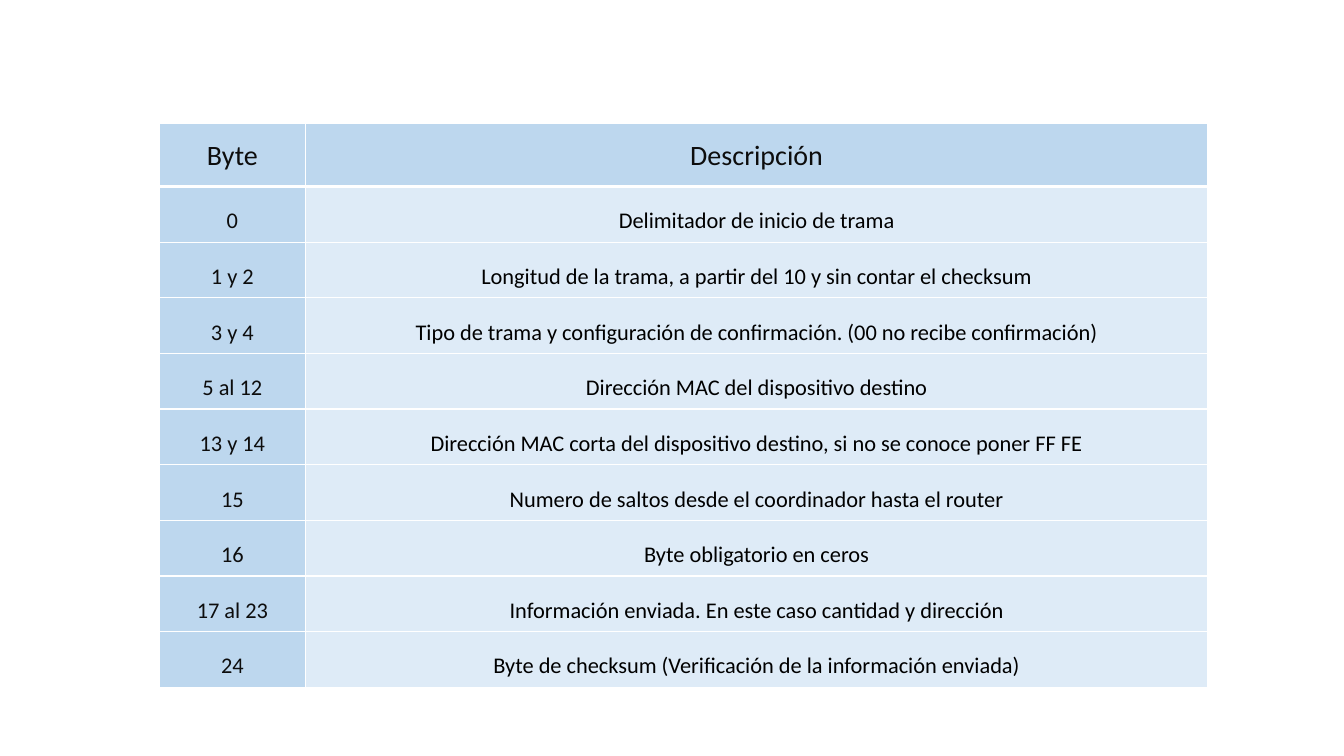
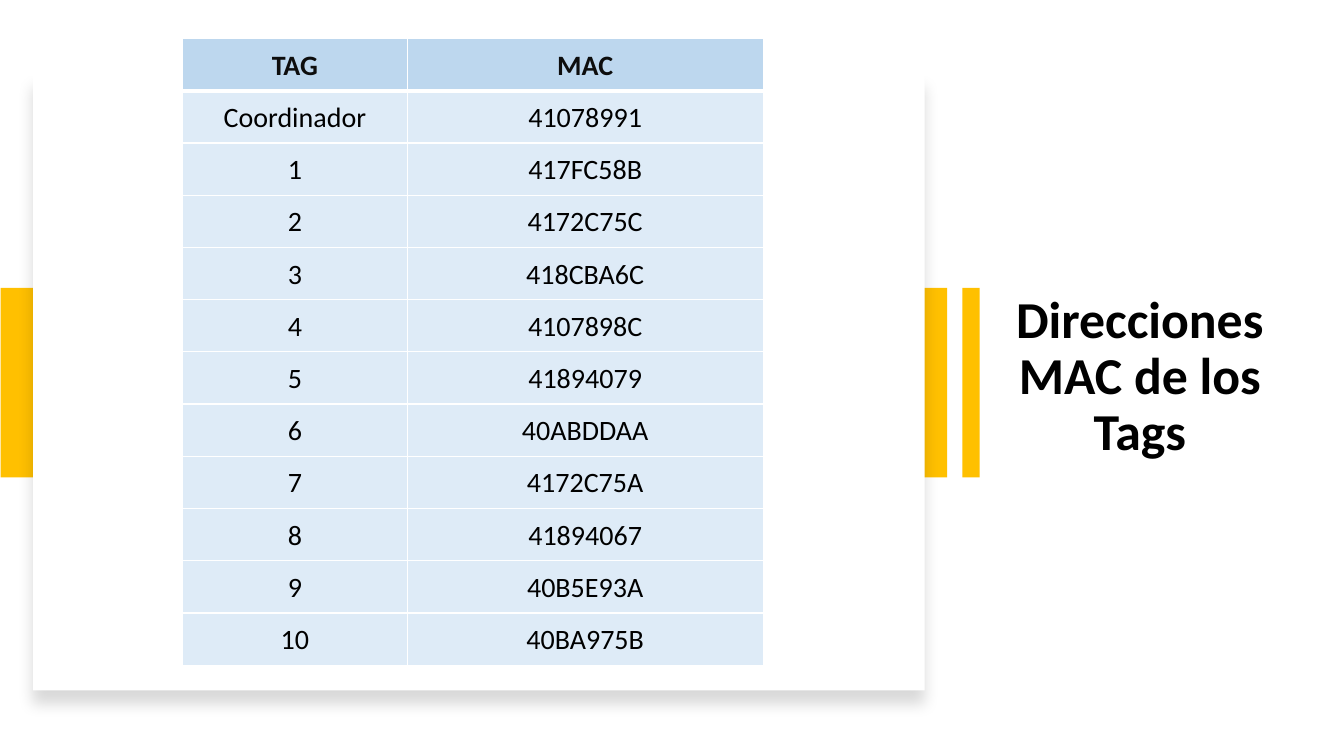
"""Build two slides: the frame byte table and the MAC addresses of the tags."""
from dataclasses import dataclass

from lxml import etree
from pptx import Presentation
from pptx.dml.color import RGBColor
from pptx.enum.shapes import MSO_SHAPE
from pptx.enum.text import MSO_ANCHOR, MSO_AUTO_SIZE, PP_ALIGN
from pptx.oxml.ns import qn
from pptx.util import Inches, Pt

RECTANGLE = MSO_SHAPE.RECTANGLE
MIDDLE = MSO_ANCHOR.MIDDLE
CENTER = PP_ALIGN.CENTER
NO_AUTOFIT = MSO_AUTO_SIZE.NONE
TITLE_ONLY, BLANK = 5, 6


@dataclass(frozen=True)
class Theme:
    font: str = "Calibri"
    white: str = "FFFFFF"
    black: str = "000000"
    ink: str = "0D0D0D"
    gold: str = "FFC000"
    header_blue: str = "BDD7EE"
    body_blue: str = "DEEBF7"
    title_size: int = 37
    large_size: int = 20
    body_size: int = 16
    border: int = 1
    header_border: int = 3


theme = Theme()


def write_text(text_frame, text, size, color, bold, paragraph_format):
    """Fill the frame with one centred, formatted paragraph."""
    paragraph = text_frame.paragraphs[0]
    paragraph.alignment = CENTER
    for name, value in paragraph_format.items():
        setattr(paragraph, name, value)
    run = paragraph.add_run()
    run.text = text
    font_format = {"name": theme.font, "size": Pt(size), "bold": bold}
    for name, value in font_format.items():
        setattr(run.font, name, value)
    run.font.color.rgb = RGBColor.from_string(color)


def add_border(cell_properties, edge, width):
    """Draw one white edge of a table cell."""
    line = etree.SubElement(cell_properties, qn(f"a:ln{edge}"), w=str(Pt(width)))
    fill = etree.SubElement(line, qn("a:solidFill"))
    etree.SubElement(fill, qn("a:srgbClr"), val=theme.white)


presentation = Presentation()
presentation.slide_width = Inches(13.33)
presentation.slide_height = Inches(7.5)
frame_slide = presentation.slides.add_slide(presentation.slide_layouts[BLANK])
tags_slide = presentation.slides.add_slide(presentation.slide_layouts[TITLE_ONLY])

title = tags_slide.shapes.title
title_format = {
    "left": Inches(9.83), "top": Inches(2.19),
    "width": Inches(2.95), "height": Inches(3.11),
}
for name, value in title_format.items():
    setattr(title, name, value)
title_frame_format = {
    "word_wrap": True, "auto_size": NO_AUTOFIT, "vertical_anchor": MIDDLE,
}
for name, value in title_frame_format.items():
    setattr(title.text_frame, name, value)
write_text(title.text_frame, "Direcciones MAC de los Tags", theme.title_size,
           theme.black, True, {"line_spacing": 0.9})

panels = [
    ((3.76, -0.9, 1.88, 9.39), 270, theme.gold, False),
    ((0.33, 0.73, 8.84, 6.12), 0, theme.white, True),
    ((8.69, 3.71, 1.88, 0.17), 90, theme.gold, False),
]
for box, rotation, color, has_shadow in panels:
    panel = tags_slide.shapes.add_shape(RECTANGLE, *map(Inches, box))
    panel.rotation = rotation
    panel.shadow.inherit = False
    panel.fill.solid()
    panel.fill.fore_color.rgb = RGBColor.from_string(color)
    panel.line.fill.background()
    if has_shadow:
        effects = panel.element.spPr.find(qn("a:effectLst"))
        shadow = etree.SubElement(
            effects, qn("a:outerShdw"), blurRad=str(Pt(11)), dist=str(Pt(10)),
            dir="5400000", algn="t", rotWithShape="0")
        shadow_color = etree.SubElement(shadow, qn("a:srgbClr"), val=theme.black)
        etree.SubElement(shadow_color, qn("a:alpha"), val="15000")

frame_rows = [
    ("Byte", "Descripción"),
    ("0", "Delimitador de inicio de trama"),
    ("1 y 2", "Longitud de la trama, a partir del 10 y sin contar el checksum"),
    ("3 y 4", "Tipo de trama y configuración de confirmación. (00 no recibe confirmación)"),
    ("5 al 12", "Dirección MAC del dispositivo destino"),
    ("13 y 14", "Dirección MAC corta del dispositivo destino, si no se conoce poner FF FE"),
    ("15", "Numero de saltos desde el coordinador hasta el router"),
    ("16", "Byte obligatorio en ceros"),
    ("17 al 23", "Información enviada. En este caso cantidad y dirección"),
    ("24", "Byte de checksum (Verificación de la información enviada)"),
]
addresses = [
    "417FC58B", "4172C75C", "418CBA6C", "4107898C", "41894079",
    "40ABDDAA", "4172C75A", "41894067", "40B5E93A", "40BA975B",
]
tag_rows = [("TAG", "MAC"), ("Coordinador", "41078991")]
tag_rows += [(str(number), address) for number, address in enumerate(addresses, 1)]

tables = [
    {
        "slide": frame_slide, "rows": frame_rows, "box": (1.58, 1.22, 10.4, 5.6),
        "columns": (1.45, 8.95), "header_height": 0.63, "body_size": theme.body_size,
        "header_bold": False, "header_column": True, "insets": (0.07, 0, 0.07, 0),
        "header_format": {"line_spacing": 1.07, "space_after": Pt(8)},
        "body_format": {"line_spacing": 1.5, "space_after": Pt(8)},
    },
    {
        "slide": tags_slide, "rows": tag_rows, "box": (1.81, 0.38, 5.76, 6.22),
        "columns": (2.23, 3.53), "header_height": 0.52, "body_size": theme.large_size,
        "header_bold": True, "header_column": False, "insets": (0.02, 0.02, 0.02, 0),
        "header_format": {}, "body_format": {},
    },
]
for layout in tables:
    rows = layout["rows"]
    graphic = layout["slide"].shapes.add_table(
        len(rows), len(layout["columns"]), *map(Inches, layout["box"]))
    table = graphic.table
    table.first_row = table.horz_banding = False
    for column, width in zip(table.columns, layout["columns"]):
        column.width = Inches(width)
    body_height = (layout["box"][3] - layout["header_height"]) / (len(rows) - 1)
    left, top, right, bottom = map(Inches, layout["insets"])
    cell_format = {
        "margin_left": left, "margin_top": top, "margin_right": right,
        "margin_bottom": bottom, "vertical_anchor": MIDDLE,
    }
    for row_index, texts in enumerate(rows):
        is_header = row_index == 0
        height = layout["header_height"] if is_header else body_height
        table.rows[row_index].height = Inches(height)
        for column_index, text in enumerate(texts):
            cell = table.cell(row_index, column_index)
            for name, value in cell_format.items():
                setattr(cell, name, value)
            is_label = is_header or (layout["header_column"] and column_index == 0)
            write_text(
                cell.text_frame, text,
                theme.large_size if is_header else layout["body_size"],
                theme.ink if is_label else theme.black,
                is_header and layout["header_bold"],
                layout["header_format" if is_header else "body_format"])
            cell_properties = cell._tc.get_or_add_tcPr()
            for edge in "LRTB":
                under_header = (row_index, edge) in ((0, "B"), (1, "T"))
                width = theme.header_border if under_header else theme.border
                add_border(cell_properties, edge, width)
            cell.fill.solid()
            cell.fill.fore_color.rgb = RGBColor.from_string(
                theme.header_blue if is_label else theme.body_blue)

presentation.save("out.pptx")
